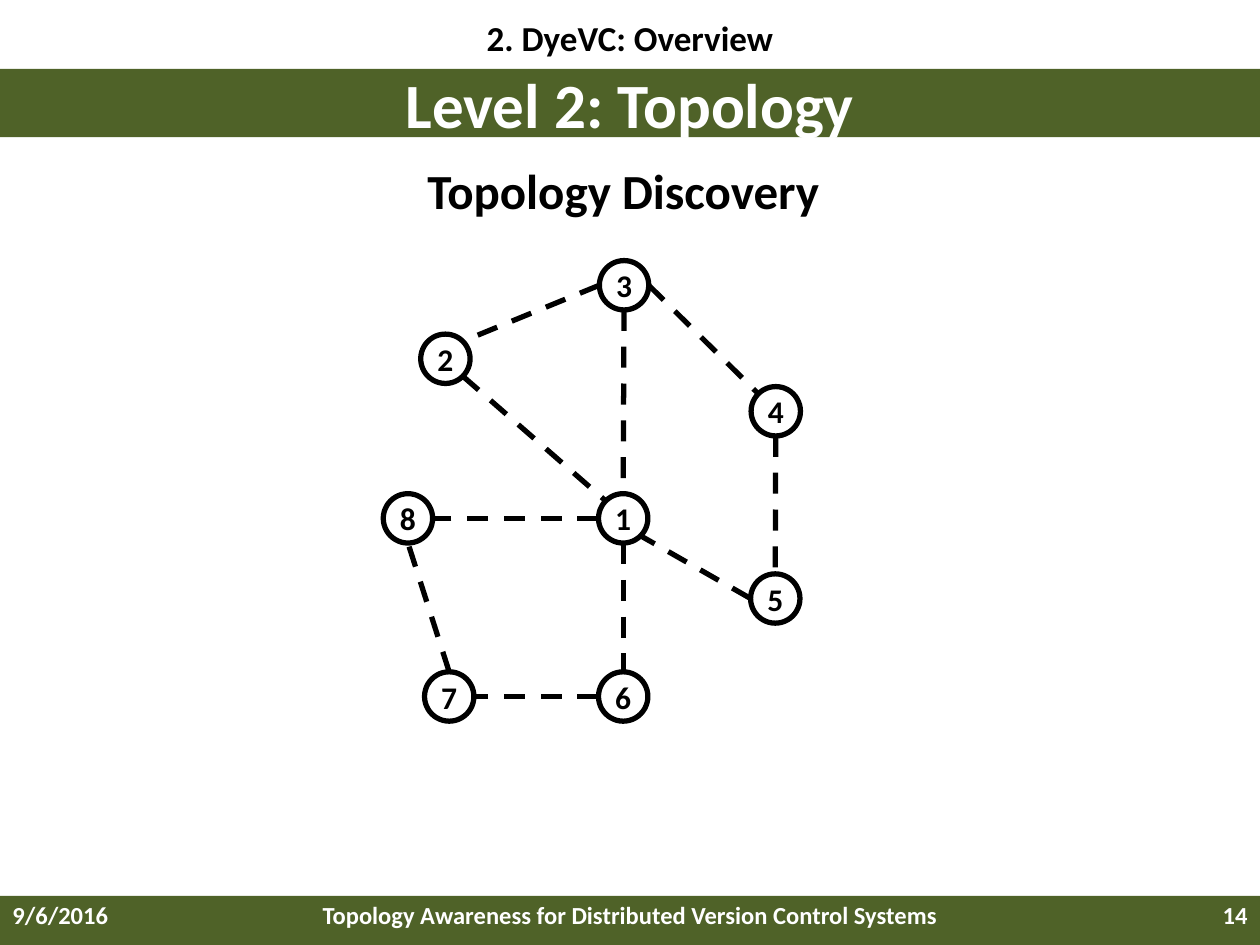
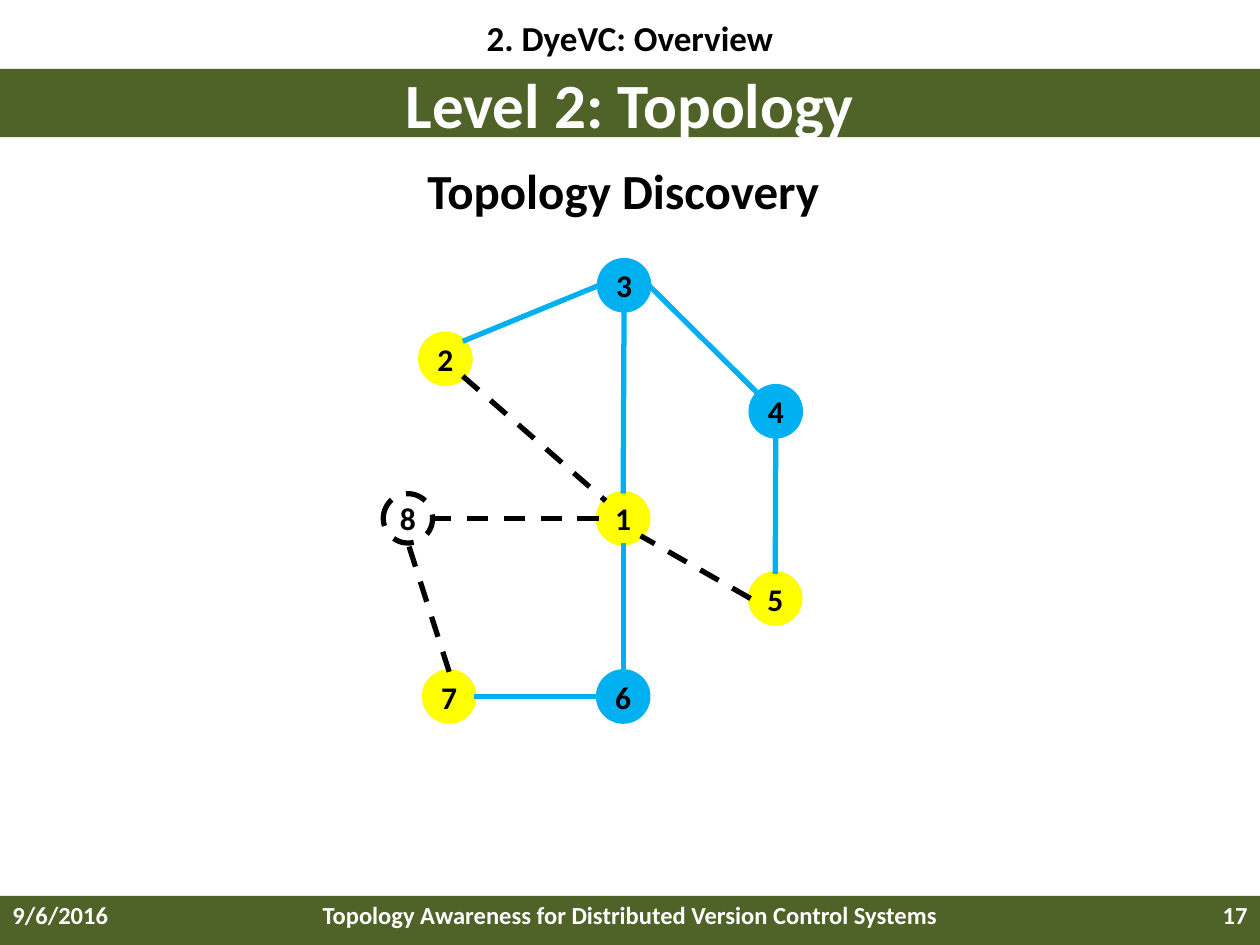
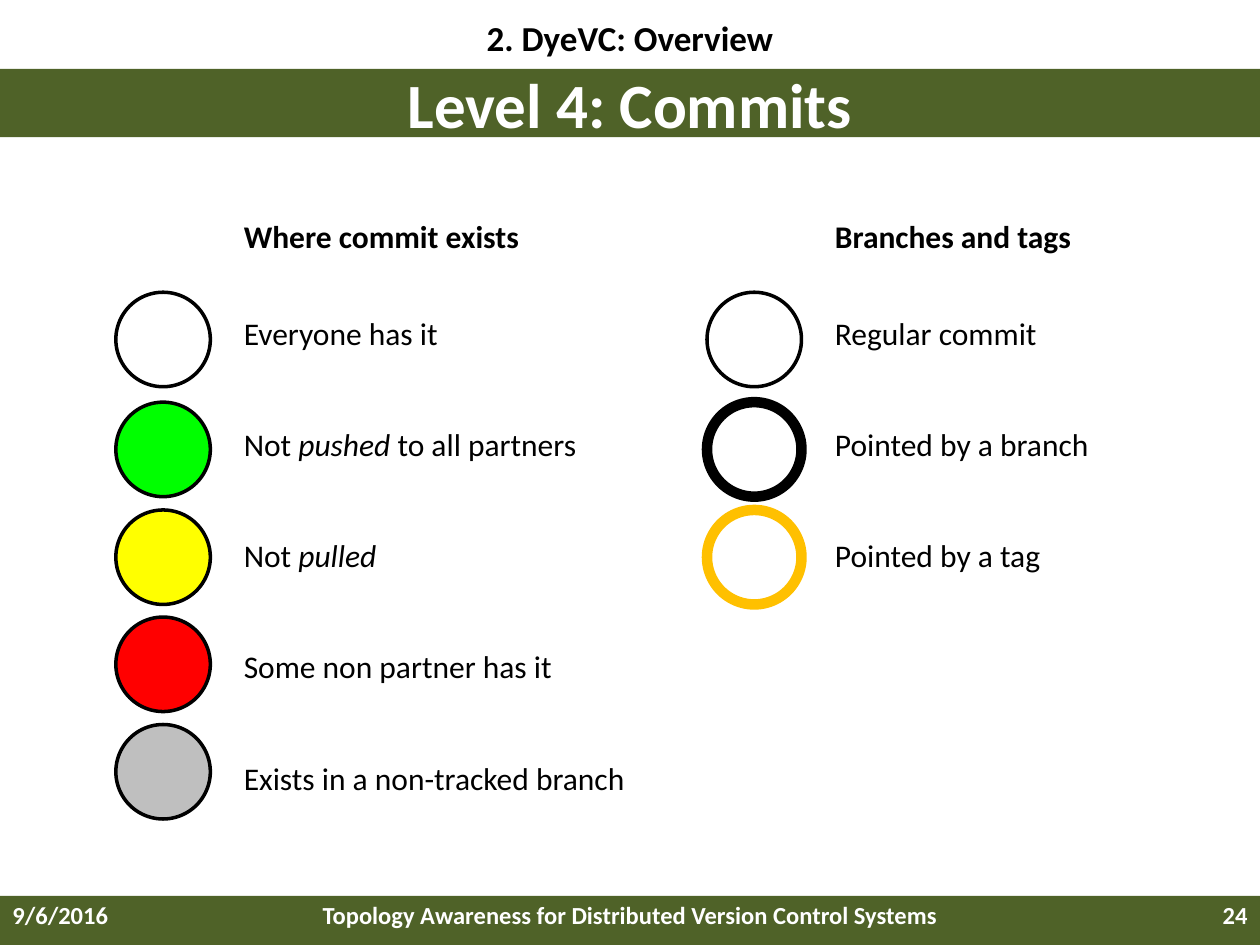
from math import sqrt

from lxml import etree
from pptx import Presentation
from pptx.dml.color import RGBColor
from pptx.enum.dml import MSO_LINE
from pptx.enum.shapes import MSO_CONNECTOR, MSO_SHAPE
from pptx.enum.text import MSO_ANCHOR, PP_ALIGN
from pptx.oxml.ns import qn
from pptx.util import Pt

BLACK = RGBColor(0x00, 0x00, 0x00)
WHITE = RGBColor(0xFF, 0xFF, 0xFF)
OLIVE = RGBColor(0x4F, 0x62, 0x28)
YELLOW = RGBColor(0xFF, 0xFF, 0x00)
BLUE = RGBColor(0x00, 0xB0, 0xF0)
GREEN = RGBColor(0x00, 0xFF, 0x00)
RED = RGBColor(0xFF, 0x00, 0x00)
GREY = RGBColor(0xBF, 0xBF, 0xBF)
AMBER = RGBColor(0xFF, 0xC0, 0x00)

FONT = "Calibri"
LEFT, CENTER, RIGHT = PP_ALIGN.LEFT, PP_ALIGN.CENTER, PP_ALIGN.RIGHT
SLIDE_W, SLIDE_H = 720, 540

SECTION = "2. DyeVC: Overview"
DATE = "9/6/2016"
TALK = "Topology Awareness for Distributed Version Control Systems"

# Topology graph: node centres, and edges as (node, side, node, side)
NODE_D = 28.2
NODES = {
    1: (356.1, 296.2), 2: (254.5, 205), 3: (356.6, 163), 4: (443.3, 235),
    5: (443, 342), 6: (356.1, 398), 7: (256.7, 398), 8: (233.1, 296.2),
}
DIAG = sqrt(0.5)
SIDES = {
    "top": (0, -1), "bottom": (0, 1), "left": (-1, 0), "right": (1, 0),
    "top left": (-DIAG, -DIAG), "top right": (DIAG, -DIAG),
    "bottom right": (DIAG, DIAG),
}
EDGES = [
    (3, "bottom", 1, "top"),
    (3, "left", 2, "top right"),
    (1, "left", 8, "right"),
    (1, "bottom", 6, "top"),
    (6, "left", 7, "right"),
    (2, "bottom right", 1, "top left"),
    (3, "right", 4, "top left"),
    (4, "bottom", 5, "top"),
    (5, "left", 1, "bottom right"),
    (7, "top", 8, "bottom"),
]
REGISTERED = (3, 4, 6)
DISCOVERED = (1, 2, 5, 7)

# Commit legend: (x of circles, heading, rows of (text runs, fill, line, width));
# every second run is italic
LEGENDS = [
    (66.2, "Where commit exists", [
        (["Everyone has it"], WHITE, BLACK, 2),
        (["Not ", "pushed ", "to all partners"], GREEN, BLACK, 2),
        (["Not ", "pulled"], YELLOW, BLACK, 2),
        (["Some non partner has it"], RED, BLACK, 2),
        (["Exists in a non-tracked branch"], GREY, BLACK, 2),
    ]),
    (404, "Branches and tags", [
        (["Regular commit"], WHITE, BLACK, 2),
        (["Pointed by a branch"], None, BLACK, 6),
        (["Pointed by a tag"], None, AMBER, 6),
    ]),
]
COMMIT_D = 54
COMMIT_TOPS = (167, 229.8, 291.4, 352.6, 414)
LABEL_TOP, LABEL_PITCH, LABEL_DX = 175.7, 63.55, 66


def write(sp, text, size=18, color=BLACK, bold=False, align=LEFT,
          anchor=MSO_ANCHOR.TOP, wrap=True, inset=None):
    """Fill a shape with one paragraph; in a list, every second run is italic."""
    tf = sp.text_frame
    tf.word_wrap = wrap
    tf.vertical_anchor = anchor
    if inset is not None:
        tf.margin_left = tf.margin_right = Pt(inset)
        tf.margin_top = tf.margin_bottom = Pt(inset)
    p = tf.paragraphs[0]
    p.alignment = align
    for i, part in enumerate([text] if isinstance(text, str) else text):
        r = p.add_run()
        r.text = part
        r.font.name = FONT
        r.font.size = Pt(size)
        r.font.bold = bold
        r.font.italic = i % 2 == 1
        r.font.color.rgb = color


def add_text(s, text, x, y, w, h, **fmt):
    write(s.shapes.add_textbox(Pt(x), Pt(y), Pt(w), Pt(h)), text, **fmt)


def style_line(line, color, width, dashed=False):
    line.color.rgb = color
    line.width = Pt(width)
    if dashed:
        line.dash_style = MSO_LINE.DASH


def add_preset(s, kind, x, y, w, h, fill=None, line=None, width=1, dashed=False):
    sp = s.shapes.add_shape(kind, Pt(x), Pt(y), Pt(w), Pt(h))
    sp.shadow.inherit = False
    if fill is None:
        sp.fill.background()
    else:
        sp.fill.solid()
        sp.fill.fore_color.rgb = fill
    if line is None:
        sp.line.fill.background()
    else:
        style_line(sp.line, line, width, dashed)
    return sp


def add_frame(prs, title, number):
    """Start a slide with the section name, title band and footer."""
    s = prs.slides.add_slide(prs.slide_layouts[6])
    add_preset(s, MSO_SHAPE.RECTANGLE, 0, 512, SLIDE_W, 28, fill=OLIVE)
    footer = [(DATE, 0, 168, LEFT), (TALK, 174, 372, CENTER),
              (str(number), 552, 168, RIGHT)]
    for text, x, w, align in footer:
        add_text(s, text, x, 511, w, 29, size=14, color=WHITE, bold=True, align=align)
    band = add_preset(s, MSO_SHAPE.RECTANGLE, 0, 39.4, SLIDE_W, 39, fill=OLIVE)
    write(band, title, size=36, color=WHITE, bold=True, align=CENTER,
          anchor=MSO_ANCHOR.MIDDLE)
    add_text(s, SECTION, 0, 6, SLIDE_W, 24, size=20, bold=True, align=CENTER)
    return s


def side_point(node, side):
    (x, y), (dx, dy) = NODES[node], SIDES[side]
    return Pt(x + dx * NODE_D / 2), Pt(y + dy * NODE_D / 2)


def add_topology(prs, number, discovered):
    s = add_frame(prs, "Level 2: Topology", number)
    for node, (x, y) in NODES.items():
        fill = None
        if discovered and node in REGISTERED:
            fill = BLUE
        elif discovered and node in DISCOVERED:
            fill = YELLOW
        sp = add_preset(s, MSO_SHAPE.OVAL, x - NODE_D / 2, y - NODE_D / 2,
                        NODE_D, NODE_D, fill=fill, line=fill or BLACK, width=3,
                        dashed=discovered and fill is None)
        write(sp, str(node), bold=True, align=CENTER,
              anchor=MSO_ANCHOR.MIDDLE, inset=2.9)
    for a, side_a, b, side_b in EDGES:
        known = discovered and (a in REGISTERED or b in REGISTERED)
        cxn = s.shapes.add_connector(MSO_CONNECTOR.STRAIGHT,
                                     *side_point(a, side_a), *side_point(b, side_b))
        style_line(cxn.line, BLUE if known else BLACK, 3, dashed=not known)
        etree.SubElement(cxn._element.spPr, qn("a:effectLst"))
    add_text(s, "Topology Discovery", 236, 88, 240, 41, size=28, bold=True,
             align=CENTER, wrap=False)


def add_commit_legend(prs, number):
    s = add_frame(prs, "Level 4: Commits", number)
    for x, heading, rows in LEGENDS:
        label_x = x + LABEL_DX
        add_text(s, heading, label_x, 120.3, 234, 29, bold=True)
        for i, (runs, fill, line, width) in enumerate(rows):
            add_preset(s, MSO_SHAPE.OVAL, x, COMMIT_TOPS[i], COMMIT_D, COMMIT_D,
                       fill=fill, line=line, width=width)
            add_text(s, runs, label_x, LABEL_TOP + i * LABEL_PITCH, 250, 29)


def main():
    prs = Presentation()
    prs.slide_width, prs.slide_height = Pt(SLIDE_W), Pt(SLIDE_H)
    add_topology(prs, 14, discovered=False)
    add_topology(prs, 17, discovered=True)
    add_commit_legend(prs, 24)
    prs.save("out.pptx")


if __name__ == "__main__":
    main()
